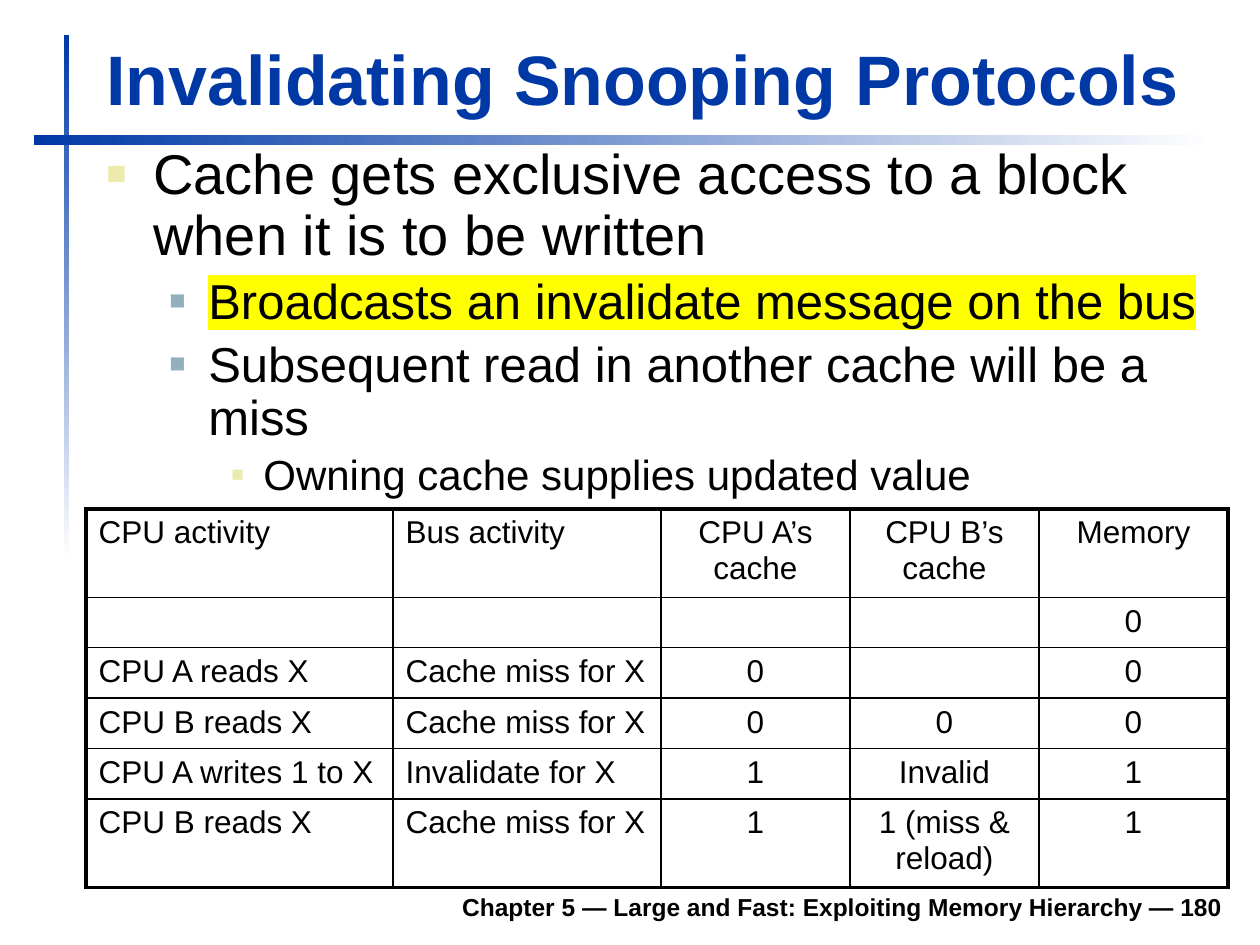
from lxml.etree import fromstring
from pptx import Presentation
from pptx.dml.color import RGBColor
from pptx.enum.shapes import MSO_SHAPE as Kind
from pptx.enum.text import MSO_ANCHOR as Anchor, PP_ALIGN as Align
from pptx.util import Pt

PX = 914400 / 126
NS = 'xmlns:a="http://schemas.openxmlformats.org/drawingml/2006/main"'
BLUE, BLACK, WHITE = "0039A6", "000000", "FFFFFF"

TITLE = "Invalidating Snooping Protocols"
FOOTER = "Chapter 5 — Large and Fast: Exploiting Memory Hierarchy — 180"
POINTS = [
    (0, "Cache gets exclusive access to a block when it is to be written", None),
    (1, "Broadcasts an invalidate message on the bus", "FFFF00"),
    (1, "Subsequent read in another cache will be a miss", None),
    (2, "Owning cache supplies updated value", None),
]
# size, left margin, hang, bullet colour, bullet percent
LEVELS = [(32, 47, 47, "ECEAAC", 60), (28, 102, 39, "91AFBF", 55),
          (24, 157, 32, "ECEAAC", 50)]
ROWS = [
    ("CPU activity", "Bus activity", "CPU A’s cache", "CPU B’s cache", "Memory"),
    ("", "", "", "", "0"),
    ("CPU A reads X", "Cache miss for X", "0", "", "0"),
    ("CPU B reads X", "Cache miss for X", "0", "0", "0"),
    ("CPU A writes 1 to X", "Invalidate for X", "1", "Invalid", "1"),
    ("CPU B reads X", "Cache miss for X", "1", "1 (miss & reload)", "1"),
]
WIDTHS = [307, 268, 189, 189, 189]
HEIGHTS = [88] + [50] * 5
BARS = [((64, 35, 5, 525), 270), ((34, 135, 1181, 10), 0)]


def px(n):
    return round(n * PX)


def rgb(code):
    return RGBColor.from_string(code)


def style(para, size, color=BLACK, bold=False):
    for run in para.runs:
        font = run.font
        font.name, font.size, font.bold = "Arial", Pt(size), bold
        font.color.rgb = rgb(color)


def add_bar(slide, box, angle):
    bar = slide.shapes.add_shape(Kind.RECTANGLE, *map(px, box))
    bar.shadow.inherit = False
    bar.line.fill.background()
    bar.fill.gradient()
    bar.fill.gradient_angle = angle
    for stop, color, pos in zip(bar.fill.gradient_stops, (BLUE, WHITE), (0, 1)):
        stop.color.rgb, stop.position = rgb(color), pos


def add_text(slide, box, text="", anchor=Anchor.TOP):
    frame = slide.shapes.add_textbox(*map(px, box)).text_frame
    frame.word_wrap, frame.vertical_anchor = True, anchor
    frame.text = text
    return frame


def add_point(para, level, text, mark, first):
    size, left, hang, color, pct = LEVELS[level]
    para.text, para.level = text, level
    props = para._p.get_or_add_pPr()
    props.set("marL", str(px(left)))
    props.set("indent", str(-px(hang)))
    gap = "" if first else '<a:spcBef><a:spcPct val="20000"/></a:spcBef>'
    parts = fromstring(
        f'<a:pPr {NS}>{gap}<a:buClr><a:srgbClr val="{color}"/></a:buClr>'
        f'<a:buSzPct val="{pct * 1000}"/><a:buFont typeface="Arial"/>'
        '<a:buChar char="■"/></a:pPr>')
    props.extend(list(parts))
    para.line_spacing = 0.9
    style(para, size)
    if mark:
        glow = fromstring(f'<a:highlight {NS}><a:srgbClr val="{mark}"/></a:highlight>')
        para.runs[0].font.fill._xPr.find("{*}solidFill").addnext(glow)


def add_borders(cell, edges):
    props = cell._tc.get_or_add_tcPr()
    for i, (side, outer) in enumerate(zip("LRTB", edges)):
        width = Pt(2.25 if outer else 1)
        props.insert(i, fromstring(
            f'<a:ln{side} {NS} w="{width}"><a:solidFill><a:srgbClr val="{BLACK}"/>'
            f'</a:solidFill></a:ln{side}>'))


def add_grid(slide):
    rows, cols = len(ROWS), len(WIDTHS)
    grid = slide.shapes.add_table(rows, cols, px(86), px(509),
                                  px(sum(WIDTHS)), px(sum(HEIGHTS))).table
    grid.first_row = grid.horz_banding = False
    for col, width in zip(grid.columns, WIDTHS):
        col.width = px(width)
    for r, (row, height) in enumerate(zip(ROWS, HEIGHTS)):
        grid.rows[r].height = px(height)
        for c, text in enumerate(row):
            cell = grid.cell(r, c)
            cell.fill.background()
            add_borders(cell, (c == 0, c == cols - 1, r == 0, r == rows - 1))
            if text:
                cell.text_frame.text = text
                para = cell.text_frame.paragraphs[0]
                para.alignment = Align.CENTER if c > 1 else Align.LEFT
                style(para, 18)


def main():
    """Build the slide on invalidating snooping protocols."""
    deck = Presentation()
    deck.slide_width, deck.slide_height = px(1260), px(945)
    slide = deck.slides.add_slide(deck.slide_layouts[6])
    for box, angle in BARS:
        add_bar(slide, box, angle)
    foot = add_text(slide, (233, 879, 1002, 49), FOOTER, Anchor.BOTTOM).paragraphs[0]
    foot.alignment = Align.RIGHT
    style(foot, 14, bold=True)
    head = add_text(slide, (94, 29, 1138, 97), TITLE, Anchor.BOTTOM)
    style(head.paragraphs[0], 40, BLUE, True)
    body = add_text(slide, (94, 140, 1140, 368))
    for i, point in enumerate(POINTS):
        para = body.add_paragraph() if i else body.paragraphs[0]
        add_point(para, *point, first=i == 0)
    add_grid(slide)
    deck.save("out.pptx")


if __name__ == "__main__":
    main()
